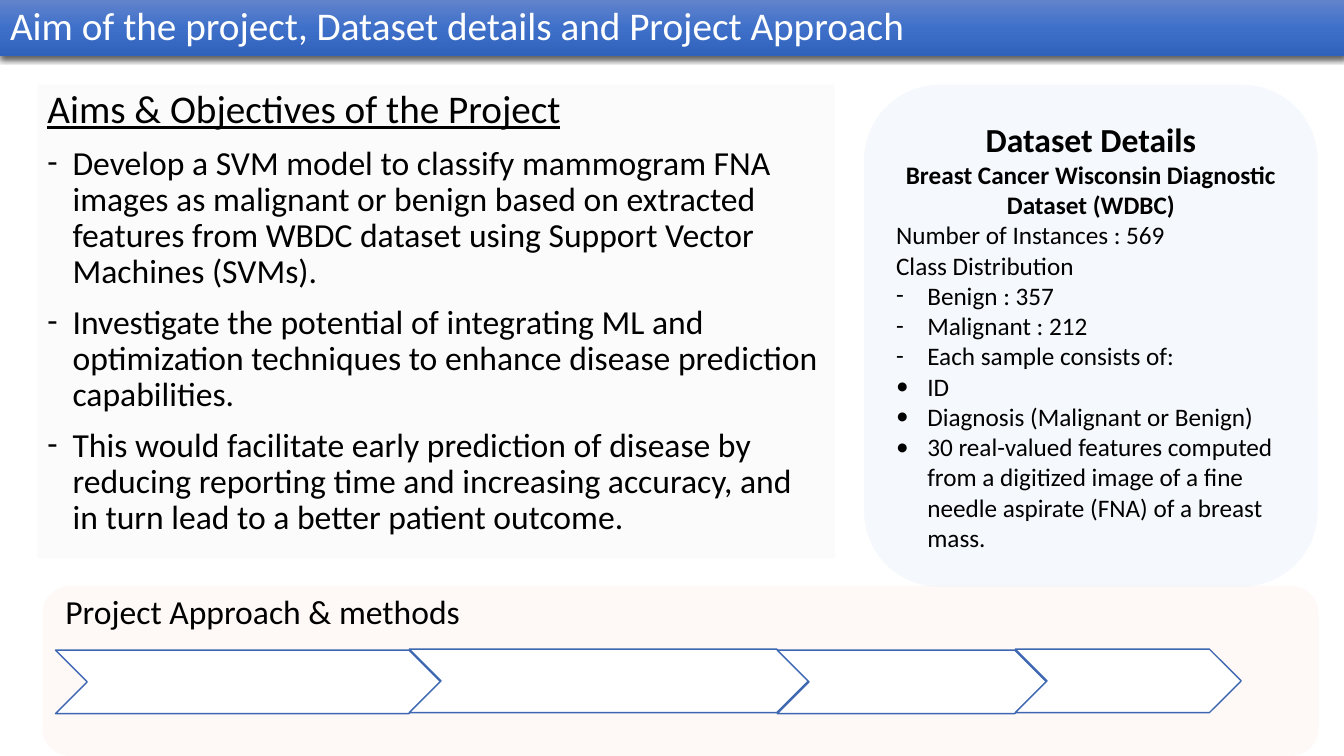
import copy

import pptx
import pptx.util
from lxml import etree
from pptx.dml.color import RGBColor
from pptx.enum.shapes import MSO_SHAPE
from pptx.enum.text import MSO_ANCHOR, MSO_AUTO_SIZE, PP_ALIGN
from pptx.oxml.ns import qn
from pptx.util import Inches, Pt

TITLE = "Aim of the project, Dataset details and Project Approach"
TITLE_GRADIENT = [(0, "6183CB"), (0.5, "3E70CA"), (1, "3062BB")]
AIMS = [
    {"text": "Aims & Objectives of the Project", "size": 28, "underline": True},
    {"text": "Develop a SVM model to classify mammogram FNA images as malignant or benign "
             "based on extracted features from WBDC dataset using Support Vector Machines (SVMs).",
     "size": 24, "bullet": "-"},
    {"text": "Investigate the potential of integrating ML and optimization techniques "
             "to enhance disease prediction capabilities.", "size": 24, "bullet": "-"},
    {"text": "This would facilitate early prediction of disease by reducing reporting time "
             "and increasing accuracy, and in turn lead to a better patient outcome.",
     "size": 24, "bullet": "-"},
]
DATASET = [
    {"text": "Dataset Details", "size": 24, "bold": True, "align": PP_ALIGN.CENTER},
    {"text": "Breast Cancer Wisconsin Diagnostic Dataset (WDBC)", "bold": True,
     "align": PP_ALIGN.CENTER},
    {"text": "Number of Instances : 569"},
    {"text": "Class Distribution"},
    {"text": "Benign : 357", "bullet": "-"},
    {"text": "Malignant : 212", "bullet": "-"},
    {"text": "Each sample consists of:", "bullet": "-"},
    {"text": "ID", "bullet": "•"},
    {"text": "Diagnosis (Malignant or Benign)", "bullet": "•"},
    {"text": "30 real-valued features computed from a digitized image of a fine needle "
             "aspirate (FNA) of a breast mass.", "bullet": "•"},
]
APPROACH = [{"text": "Project Approach & methods", "size": 24}]
STEPS = [(0.55, 3.82), (4.06, 3.96), (7.71, 2.67), (10.07, 2.24)]
STEP_TOPS = (6.45, 6.44)
STEP_HEIGHT = 0.63


def color(hex_string):
    return RGBColor.from_string(hex_string)


def place(shape, left, top, width, height):
    shape.left, shape.top = Inches(left), Inches(top)
    shape.width, shape.height = Inches(width), Inches(height)


def fill_solid(shape, hex_string, opacity=100):
    shape.fill.solid()
    shape.fill.fore_color.rgb = color(hex_string)
    if opacity < 100:
        fill_color = shape._element.spPr.find(qn("a:solidFill"))[0]
        etree.SubElement(fill_color, qn("a:alpha"), val=str(opacity * 1000))


def add_panel(slide, kind, box, hex_string, opacity=100):
    shape = slide.shapes.add_shape(kind, *map(Inches, box))
    shape.shadow.inherit = False
    fill_solid(shape, hex_string, opacity)
    shape.line.fill.background()
    return shape


def set_bullet(paragraph, character, indent):
    properties = paragraph._p.get_or_add_pPr()
    hanging = Inches(indent) if character else 0
    properties.set("marL", str(hanging))
    properties.set("indent", str(-hanging))
    if character:
        etree.SubElement(properties, qn("a:buFont"), typeface="Calibri")
        etree.SubElement(properties, qn("a:buChar"), char=character)
    else:
        etree.SubElement(properties, qn("a:buNone"))


def write(shape, items, indent=0.25, spacing=1.0, before=0,
          anchor=MSO_ANCHOR.TOP, font_color="000000"):
    frame = shape.text_frame
    frame.word_wrap = True
    frame.auto_size = MSO_AUTO_SIZE.NONE
    frame.vertical_anchor = anchor
    frame.text = "\n".join(item["text"] for item in items)
    for index, (paragraph, item) in enumerate(zip(frame.paragraphs, items)):
        set_bullet(paragraph, item.get("bullet"), indent)
        paragraph.alignment = item.get("align", PP_ALIGN.LEFT)
        paragraph.line_spacing = spacing
        paragraph.space_before = Pt(before if index else 0)
        font = paragraph.runs[0].font
        font.name = "Calibri"
        font.size = Pt(item.get("size", 18))
        font.bold = item.get("bold", False)
        font.underline = item.get("underline", False)
        font.color.rgb = color(font_color)


def style_title_bar(shape):
    shape.fill.gradient()
    shape.fill.gradient_angle = 270
    properties = shape._element.spPr
    stop_list = properties.find(qn("a:gradFill")).find(qn("a:gsLst"))
    stop_list.insert(1, copy.deepcopy(stop_list[0]))
    for stop, (position, hex_string) in zip(shape.fill.gradient_stops, TITLE_GRADIENT):
        stop.position = position
        stop.color.rgb = color(hex_string)
    shape.line.fill.background()
    shape.shadow.inherit = False
    shadow = etree.SubElement(
        properties.find(qn("a:effectLst")), qn("a:outerShdw"),
        blurRad=str(Pt(4.5)), dist=str(Pt(1.5)), dir="5400000", algn="ctr", rotWithShape="0")
    shadow_color = etree.SubElement(shadow, qn("a:srgbClr"), val="000000")
    etree.SubElement(shadow_color, qn("a:alpha"), val="63000")


def main():
    presentation = pptx.Presentation()
    presentation.slide_width = Inches(13.33)
    presentation.slide_height = Inches(7.5)
    slide = presentation.slides.add_slide(presentation.slide_layouts[1])

    title = slide.shapes.title
    place(title, 0, 0, 13.33, 0.56)
    style_title_bar(title)
    write(title, [{"text": TITLE, "size": 28}], spacing=0.9,
          anchor=MSO_ANCHOR.MIDDLE, font_color="FFFFFF")

    aims = slide.placeholders[1]
    place(aims, 0.37, 0.84, 7.91, 4.7)
    fill_solid(aims, "EDEDED", 20)
    write(aims, AIMS, spacing=0.9, before=10)

    add_panel(slide, MSO_SHAPE.ROUNDED_RECTANGLE, (0.42, 5.81, 12.66, 1.69), "FBE5D6", 20)
    dataset = add_panel(slide, MSO_SHAPE.ROUNDED_RECTANGLE, (8.57, 0.84, 4.5, 4.98), "DEEBF7", 30)
    write(dataset, DATASET, indent=0.31, anchor=MSO_ANCHOR.MIDDLE)

    for index, (left, width) in enumerate(STEPS):
        box = (left, STEP_TOPS[index % 2], width, STEP_HEIGHT)
        step = add_panel(slide, MSO_SHAPE.CHEVRON, box, "FFFFFF")
        step.line.color.rgb = color("3E67B2")
        step.line.width = Pt(1)

    approach = slide.shapes.add_textbox(*map(Inches, (0.55, 5.81, 6.8, 0.5)))
    write(approach, APPROACH)

    presentation.save("out.pptx")


if __name__ == "__main__":
    main()
